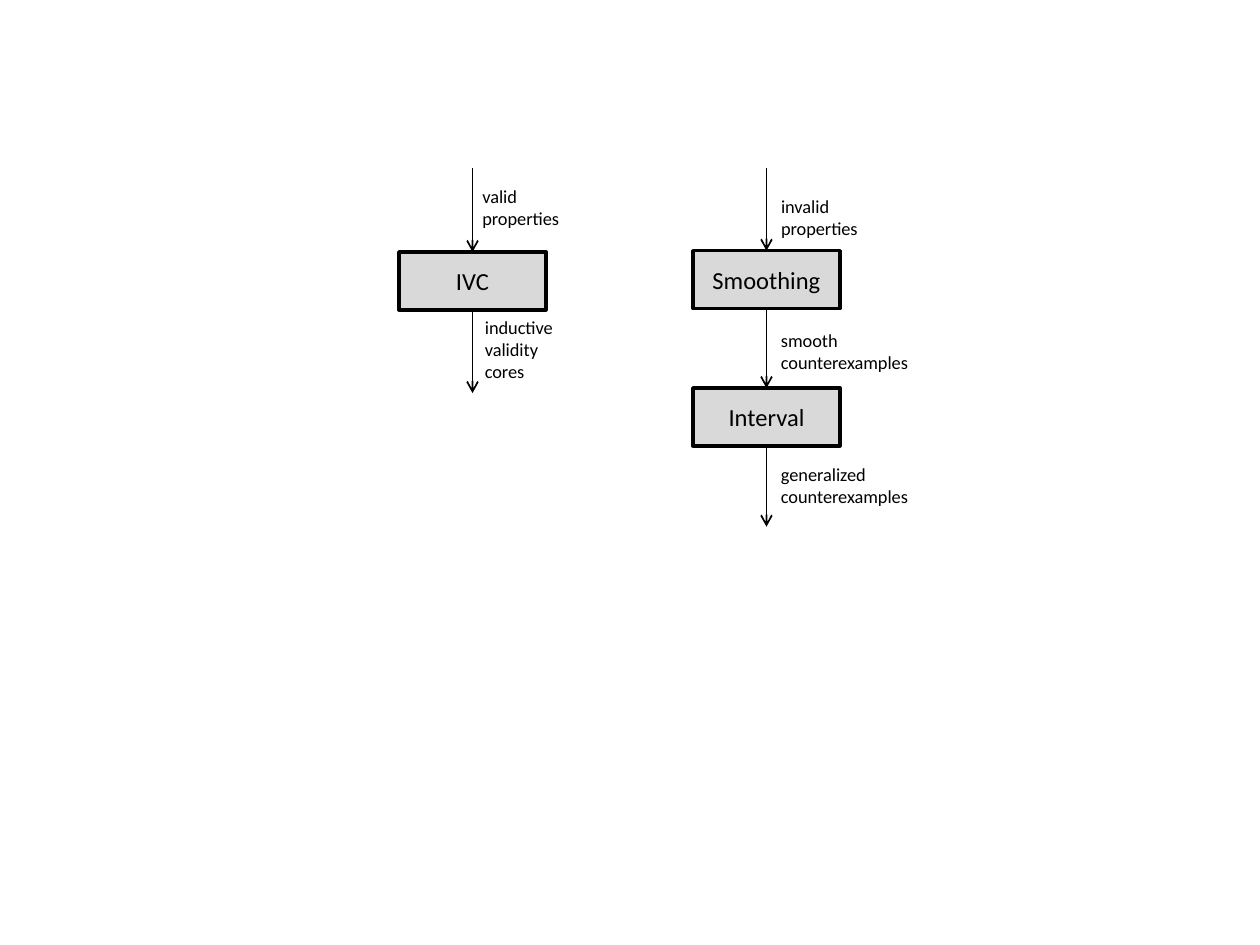
from lxml.etree import SubElement
from pptx import Presentation
from pptx.dml.color import RGBColor
from pptx.enum.shapes import MSO_CONNECTOR, MSO_SHAPE
from pptx.enum.text import MSO_ANCHOR, MSO_AUTO_SIZE, PP_ALIGN
from pptx.oxml.ns import qn
from pptx.util import Pt

COLORS = {"ink": "000000", "box": "D9D9D9"}
BOX_WIDTH, BOX_HEIGHT = 84, 33.12
ARROW_TOP = 96


class FlowPage:
    font_name = "Calibri"
    box_size = 14
    label_size = 10.5

    def __init__(self, page):
        self.page = page

    def color(self, name):
        return RGBColor.from_string(COLORS[name])

    def add_lines(self, frame, lines, size, align):
        for index, line in enumerate(lines):
            para = frame.paragraphs[0] if index == 0 else frame.add_paragraph()
            para.alignment = align
            span = para.add_run()
            span.text = line
            formats = {"name": self.font_name, "size": Pt(size)}
            for key, value in formats.items():
                setattr(span.font, key, value)
            span.font.color.rgb = self.color("ink")

    def box(self, center, top, text):
        box = self.page.shapes.add_shape(
            MSO_SHAPE.RECTANGLE, Pt(center - BOX_WIDTH / 2), Pt(top),
            Pt(BOX_WIDTH), Pt(BOX_HEIGHT))
        box.shadow.inherit = False
        box.fill.solid()
        box.fill.fore_color.rgb = self.color("box")
        box.line.color.rgb = self.color("ink")
        box.line.width = Pt(2)
        box.text_frame.vertical_anchor = MSO_ANCHOR.MIDDLE
        self.add_lines(box.text_frame, [text], self.box_size, PP_ALIGN.CENTER)

    def arrow(self, center, top, bottom):
        arrow = self.page.shapes.add_connector(
            MSO_CONNECTOR.STRAIGHT, Pt(center), Pt(top), Pt(center), Pt(bottom))
        arrow.line.color.rgb = self.color("ink")
        arrow.line.width = Pt(1)
        properties = arrow._element.spPr
        SubElement(properties.find(qn("a:ln")), qn("a:tailEnd"), type="arrow")
        SubElement(properties, qn("a:effectLst"))

    def label(self, left, top, width, height, lines, wrap=False):
        label = self.page.shapes.add_textbox(
            Pt(left), Pt(top), Pt(width), Pt(height))
        formats = {"word_wrap": wrap,
                   "auto_size": MSO_AUTO_SIZE.SHAPE_TO_FIT_TEXT}
        for key, value in formats.items():
            setattr(label.text_frame, key, value)
        self.add_lines(label.text_frame, lines, self.label_size, PP_ALIGN.LEFT)


def draw_flow(flow, center, boxes, end):
    """Stack boxes on one axis, with an arrow into each and one out to end."""
    start = ARROW_TOP
    for top, text in boxes:
        flow.arrow(center, start, top)
        flow.box(center, top, text)
        start = top + BOX_HEIGHT
    flow.arrow(center, start, end)


def main():
    deck = Presentation()
    deck.slide_width, deck.slide_height = Pt(720), Pt(540)
    flow = FlowPage(deck.slides.add_slide(deck.slide_layouts[6]))

    draw_flow(flow, 270, [(144, "IVC")], 224.64)
    flow.label(268.56, 102.24, 61.2, 33.84, ["valid", "properties"])
    flow.label(270, 177.12, 59.76, 45.36, ["inductive validity cores"], wrap=True)

    draw_flow(flow, 438, [(143.28, "Smoothing"), (221.76, "Interval")], 300.96)
    invalid_left = 439.2
    flow.label(invalid_left, 108, 61.2, 33.84, ["invalid", "properties"])
    for top, kind in [(184.32, "smooth"), (261.36, "generalized")]:
        flow.label(invalid_left, top, 89.28, 32.4, [kind, "counterexamples"])

    deck.save("out.pptx")


if __name__ == "__main__":
    main()
